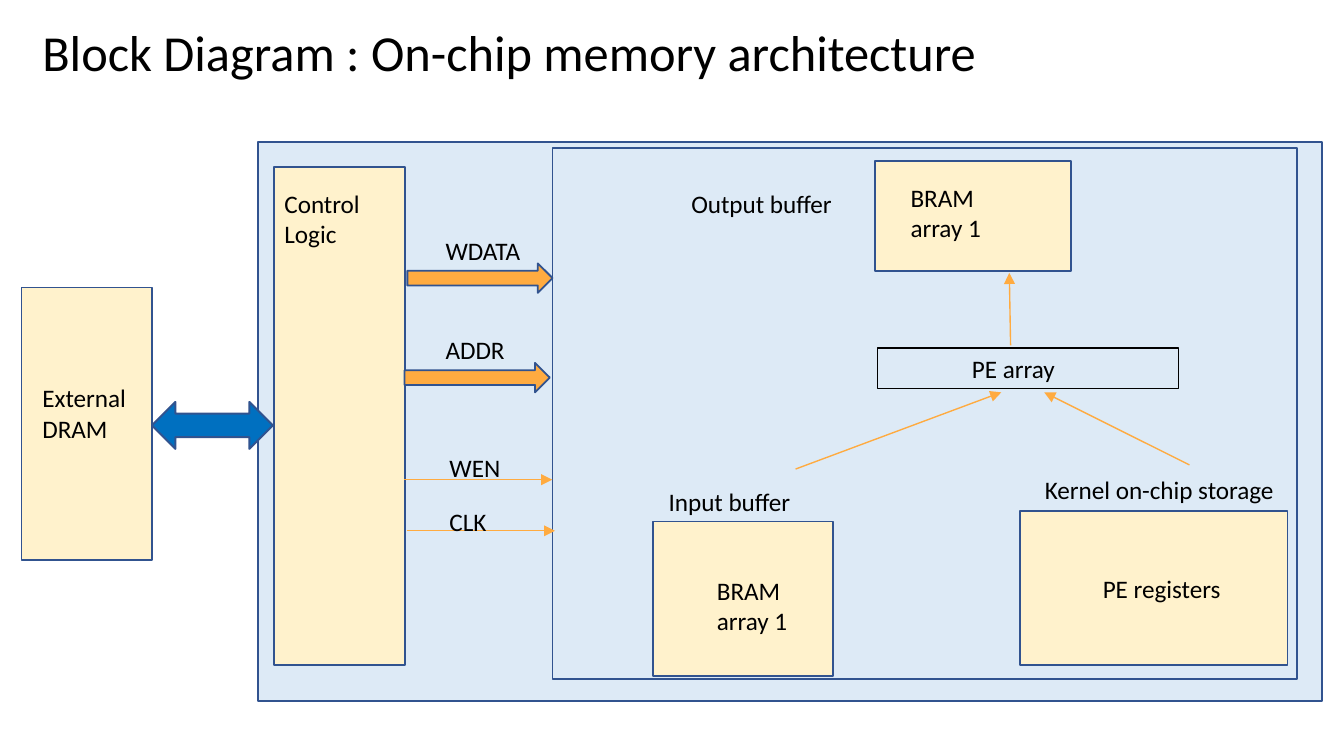
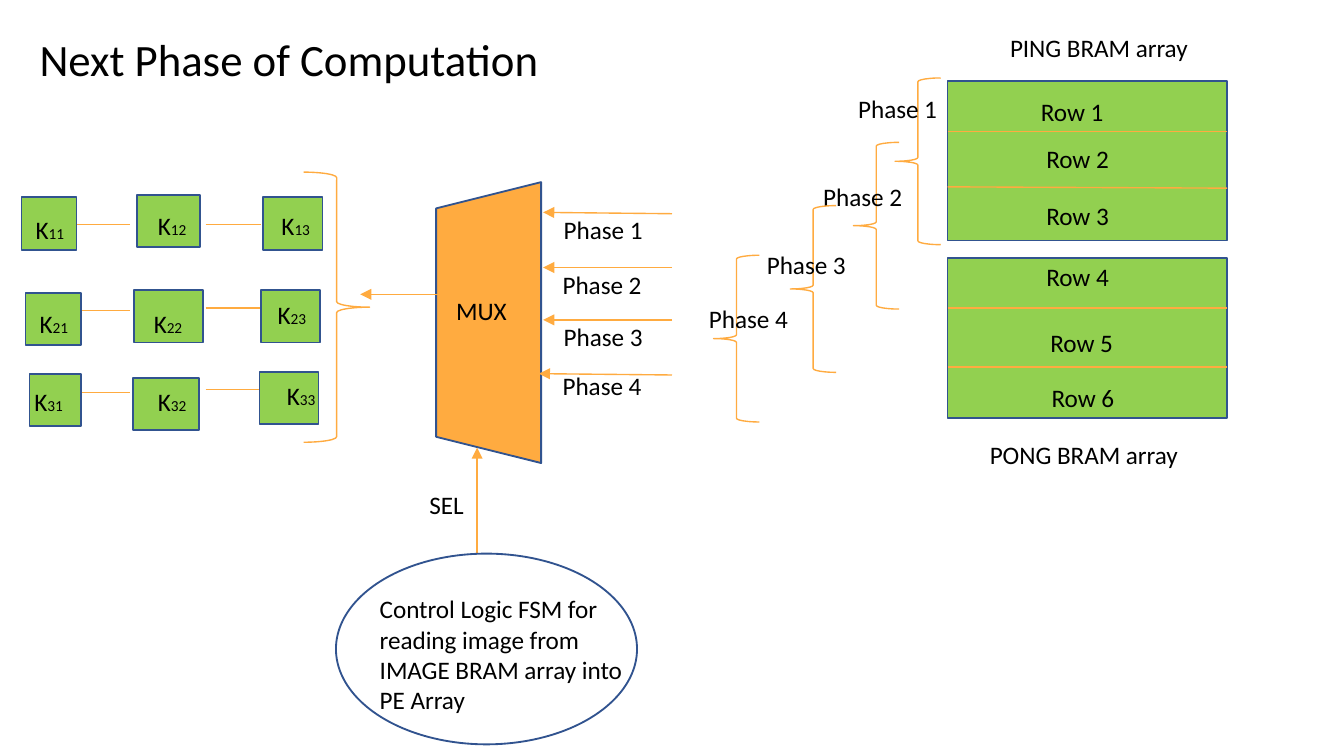
from lxml import etree
from pptx import Presentation
from pptx.dml.color import RGBColor
from pptx.enum import shapes, text
from pptx.oxml import ns
from pptx.util import Pt

BLACK = RGBColor(0x00, 0x00, 0x00)
NAVY = RGBColor(0x31, 0x53, 0x8F)
BLUE = RGBColor(0x00, 0x70, 0xC0)
ICE = RGBColor(0xDD, 0xEA, 0xF6)
CREAM = RGBColor(0xFF, 0xF2, 0xCC)
ORANGE = RGBColor(0xFF, 0xAB, 0x40)
GREEN = RGBColor(0x92, 0xD0, 0x50)
FONT = "Calibri"
BODY_SIZE = 13.5
INDEX_SIZE = 8.2
LINE_HEIGHT = 21.6
KIND = shapes.MSO_SHAPE


def set_frame(frame, left_inset=5.4):
    frame.word_wrap = True
    frame.vertical_anchor = text.MSO_ANCHOR.TOP
    frame.margin_left = Pt(left_inset)
    frame.margin_right = Pt(5.4)
    frame.margin_top = frame.margin_bottom = Pt(2.7)


def add_run(paragraph, words, size=BODY_SIZE):
    run = paragraph.add_run()
    run.text = words
    run.font.name = FONT
    run.font.size = Pt(size)
    run.font.color.rgb = BLACK


def add_label(slide, lines, x, y, w, h=LINE_HEIGHT, size=BODY_SIZE, index=None):
    frame = slide.shapes.add_textbox(Pt(x), Pt(y), Pt(w), Pt(h)).text_frame
    set_frame(frame)
    for number, line in enumerate(lines.split("\n")):
        paragraph = frame.add_paragraph() if number else frame.paragraphs[0]
        add_run(paragraph, line, size)
    if index:
        add_run(frame.paragraphs[0], index, INDEX_SIZE)


def add_block(slide, kind, x, y, w, h, fill=None, line=NAVY, weight=1):
    block = slide.shapes.add_shape(kind, Pt(x), Pt(y), Pt(w), Pt(h))
    block.shadow.inherit = False
    if fill is None:
        block.fill.background()
    else:
        block.fill.solid()
        block.fill.fore_color.rgb = fill
    block.line.color.rgb = line
    block.line.width = Pt(weight)
    return block


def add_brace(slide, kind, x, y, w, h):
    add_block(slide, kind, x, y, w, h, line=ORANGE, weight=0.75)


def add_wire(slide, x1, y1, x2, y2, arrow=True):
    wire = slide.shapes.add_connector(
        shapes.MSO_CONNECTOR.STRAIGHT, Pt(x1), Pt(y1), Pt(x2), Pt(y2))
    wire.line.color.rgb = ORANGE
    wire.line.width = Pt(0.75)
    if arrow:
        etree.SubElement(wire.line._get_or_add_ln(), ns.qn("a:tailEnd"), type="triangle")
    etree.SubElement(wire._element.spPr, ns.qn("a:effectLst"))


def add_memory_blocks(slide):
    for x, y, w, h, fill in (
        (11.5, 154, 70, 146, CREAM),
        (138.2, 76.3, 570.2, 299.5, ICE),
        (147, 89.3, 69.8, 267.1, CREAM),
        (468.7, 86.4, 105.1, 59, CREAM),
        (350, 279.4, 96.5, 82.8, CREAM),
        (546.5, 273.6, 143.3, 82.8, CREAM),
        (296, 79.2, 398.9, 284.4, None),
    ):
        add_block(slide, KIND.RECTANGLE, x, y, w, h, fill)
    add_block(slide, KIND.LEFT_RIGHT_ARROW, 81.4, 215.3, 64.8, 25.2, BLUE)

    pe_array = add_block(slide, KIND.RECTANGLE, 470.2, 186.5, 161.3, 21.6,
                         line=BLACK, weight=0.75)
    set_frame(pe_array.text_frame, left_inset=50.5)
    paragraph = pe_array.text_frame.paragraphs[0]
    paragraph.alignment = text.PP_ALIGN.LEFT
    add_run(paragraph, "PE array")


def add_memory_signals(slide):
    for name, x, y, label_y in (("WDATA", 218.2, 141.1, 123.1),
                                ("ADDR", 216.7, 194.4, 176.4)):
        add_block(slide, KIND.RIGHT_ARROW, x, y, 77.8, 15.8, ORANGE)
        add_label(slide, name, 233.3, label_y, 57)
    for name, x, y, label_y in (("WEN", 216.7, 257, 239.8),
                                ("CLK", 218.2, 284.4, 268.6)):
        add_wire(slide, x, y, x + 79.2, y)
        add_label(slide, name, 235.4, label_y, 39.6)
    add_wire(slide, 426.2, 251.3, 536.4, 210.2)
    add_wire(slide, 637.2, 249.1, 559.4, 210.2)
    add_wire(slide, 541.4, 185, 540.7, 146.2)


def add_memory_slide(slide):
    add_label(slide, "Block Diagram : On-chip memory architecture",
              17.3, 8.6, 592, 38, size=27)
    add_memory_blocks(slide)
    add_memory_signals(slide)
    for words, x, y, w, h in (
        ("External\nDRAM", 17.3, 202.3, 58.3, 38.2),
        ("Control Logic", 147, 98, 57.6, 38.2),
        ("Output buffer", 365, 98, 96.5, LINE_HEIGHT),
        ("BRAM array 1", 482.4, 95, 57.6, 38.2),
        ("Input buffer", 352.8, 257.8, 86.4, 14.4),
        ("BRAM array 1", 378.7, 305.3, 57.6, 38.2),
        ("Kernel on-chip storage", 554.4, 251.3, 147, LINE_HEIGHT),
        ("PE registers", 585.4, 304.6, 100.8, LINE_HEIGHT),
    ):
        add_label(slide, words, x, y, w, h)


def add_kernel_grid(slide):
    for left_y, right_y in ((120.2, 120.2), (166.3, 165), (210.2, 208.8)):
        add_wire(slide, 39.6, left_y, 69.8, left_y, arrow=False)
        add_wire(slide, 110.2, right_y, 139.7, right_y, arrow=False)
    for index, x, y, w, label_x, label_y in (
        ("11", 11.5, 105.8, 29.5, 13.7, 112.3),
        ("12", 73.4, 104.4, 33.8, 79.2, 110.2),
        ("13", 141.1, 105.8, 31.7, 145.4, 110.2),
        ("21", 13.7, 157, 29.5, 15.8, 162.7),
        ("22", 72, 155.5, 36.7, 77, 162.7),
        ("23", 139.7, 155.5, 31.7, 143.3, 157.7),
        ("31", 15.8, 200.2, 27.4, 13, 204.5),
        ("32", 71.3, 202.3, 35.3, 79.2, 204.5),
        ("33", 139, 199.4, 31.7, 148.3, 200.9),
    ):
        add_block(slide, KIND.RECTANGLE, x, y, w, 28, GREEN)
        add_label(slide, "K", label_x, label_y, 27.4, 13, index=index)
    add_brace(slide, KIND.RIGHT_BRACE, 162.7, 92.2, 35.3, 144.7)


def add_bram_banks(slide):
    left, width = 507.6, 149.8
    for top, dividers in ((43.2, ((70.6, 70.6), (100.1, 100.8))),
                          (138.2, ((165, 165), (196.6, 196.6)))):
        add_block(slide, KIND.RECTANGLE, left, top, width, 85.7, GREEN)
        for start, end in dividers:
            add_wire(slide, left, start, left + width, end, arrow=False)
    row_places = ((552.2, 49), (555.1, 74.2), (555.1, 104.4),
                  (555.1, 137.5), (557.3, 172.8), (558, 202.3))
    for row, (x, y) in enumerate(row_places, 1):
        add_label(slide, f"Row {row}", x, y, 54.7)
    add_label(slide, "PING BRAM array", 535.7, 14.4, 132.5)
    add_label(slide, "PONG BRAM array", 524.9, 232.6, 132.5)


def add_phases(slide):
    phases = (
        (479.5, 41.8, 454.3, 47.5),
        (457.2, 76.3, 435.6, 94.3),
        (423.4, 110.2, 405.4, 131),
        (382.3, 136.8, 374.4, 159.8),
    )
    mux_inputs = (
        (114.5, 291, 113.8, 296.6, 112.3),
        (143.3, 291, 143.3, 296, 141.8),
        (171.4, 291, 171.4, 296.6, 169.2),
        (200.9, 288.7, 200.2, 296, 195.8),
    )
    for number, (phase, mux_input) in enumerate(zip(phases, mux_inputs), 1):
        name = f"Phase {number}"
        brace_x, brace_y, name_x, name_y = phase
        add_brace(slide, KIND.LEFT_BRACE, brace_x, brace_y, 24.5, 89.3)
        add_label(slide, name, name_x, name_y, 75.6)
        start_y, end_x, end_y, input_x, input_y = mux_input
        add_wire(slide, 360, start_y, end_x, end_y)
        add_label(slide, name, input_x, input_y, 75.6)


def add_mux_control(slide):
    mux = add_block(slide, KIND.TRAPEZOID, 186.5, 144.7, 150.5, 56.2, ORANGE)
    mux.rotation = 270
    mux.adjustments[0] = 0.25
    add_label(slide, "MUX", 239, 155.5, 51.8)
    add_wire(slide, 236.9, 157.7, 193, 157.7)
    add_wire(slide, 255.6, 296.6, 255.6, 239.8)
    add_label(slide, "SEL", 224.6, 259.2, 51.8)
    add_block(slide, KIND.OVAL, 180, 296.6, 161.3, 102.2)
    add_label(slide, "Control Logic FSM for reading image from IMAGE BRAM array into PE Array",
              198, 315.4, 157, 70.6)


def add_computation_slide(slide):
    add_label(slide, "Next Phase of Computation", 15.8, 14.4, 410, 34.6, size=24)
    add_kernel_grid(slide)
    add_bram_banks(slide)
    add_mux_control(slide)
    add_phases(slide)


def main():
    deck = Presentation()
    deck.slide_width, deck.slide_height = Pt(720), Pt(405)
    blank = deck.slide_layouts[6]
    for build in (add_memory_slide, add_computation_slide):
        build(deck.slides.add_slide(blank))
    deck.save("out.pptx")


if __name__ == "__main__":
    main()
